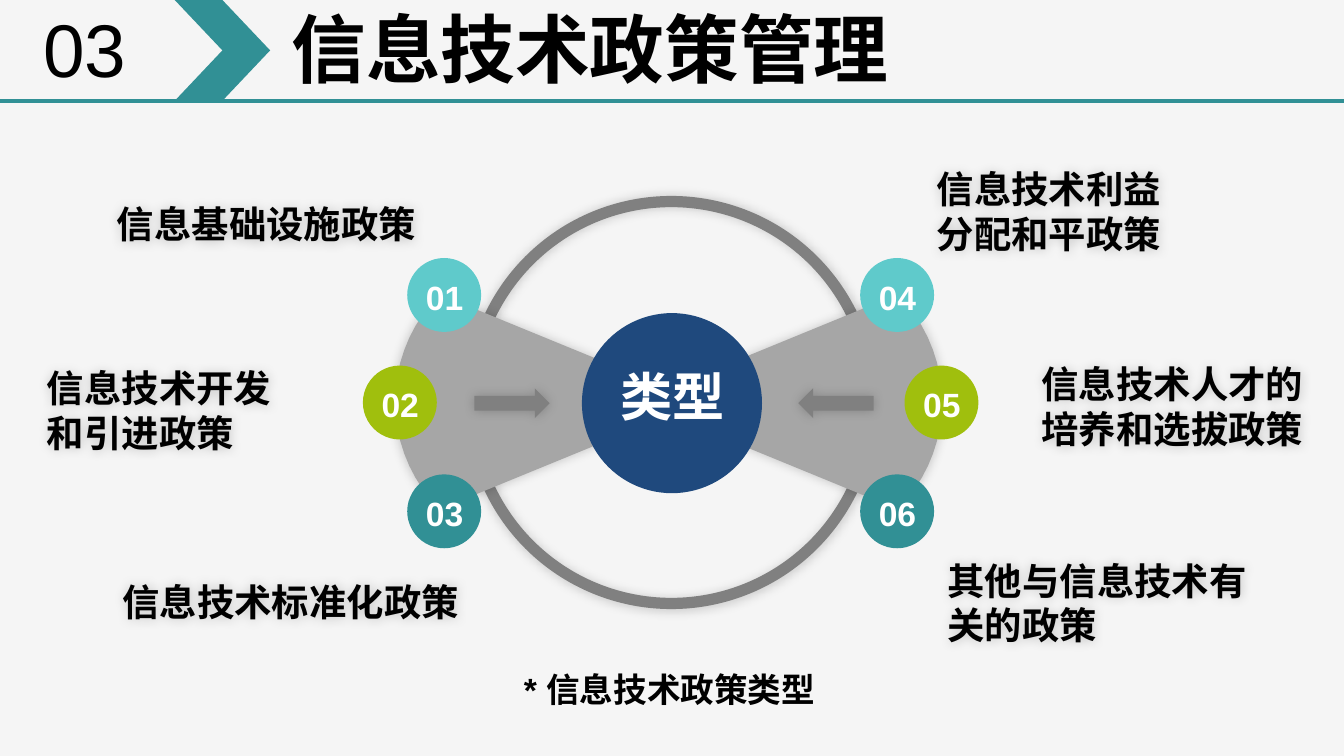
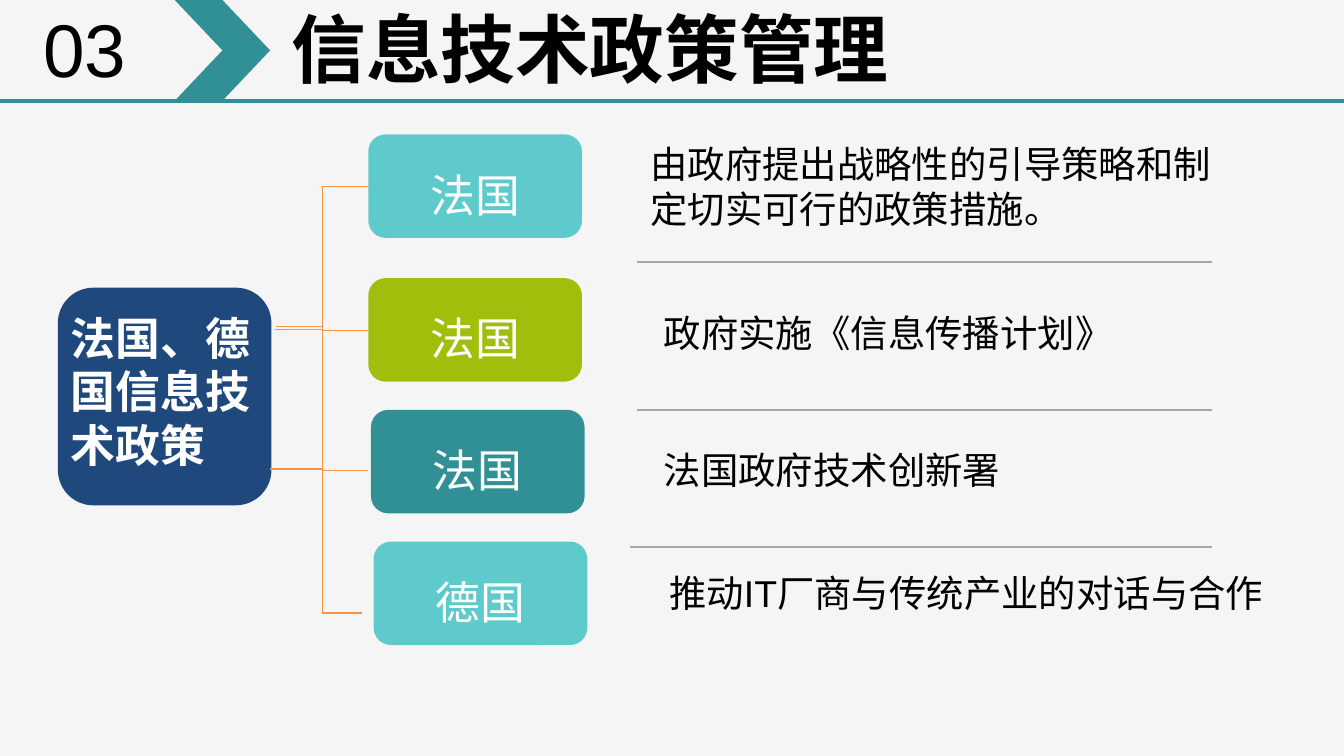
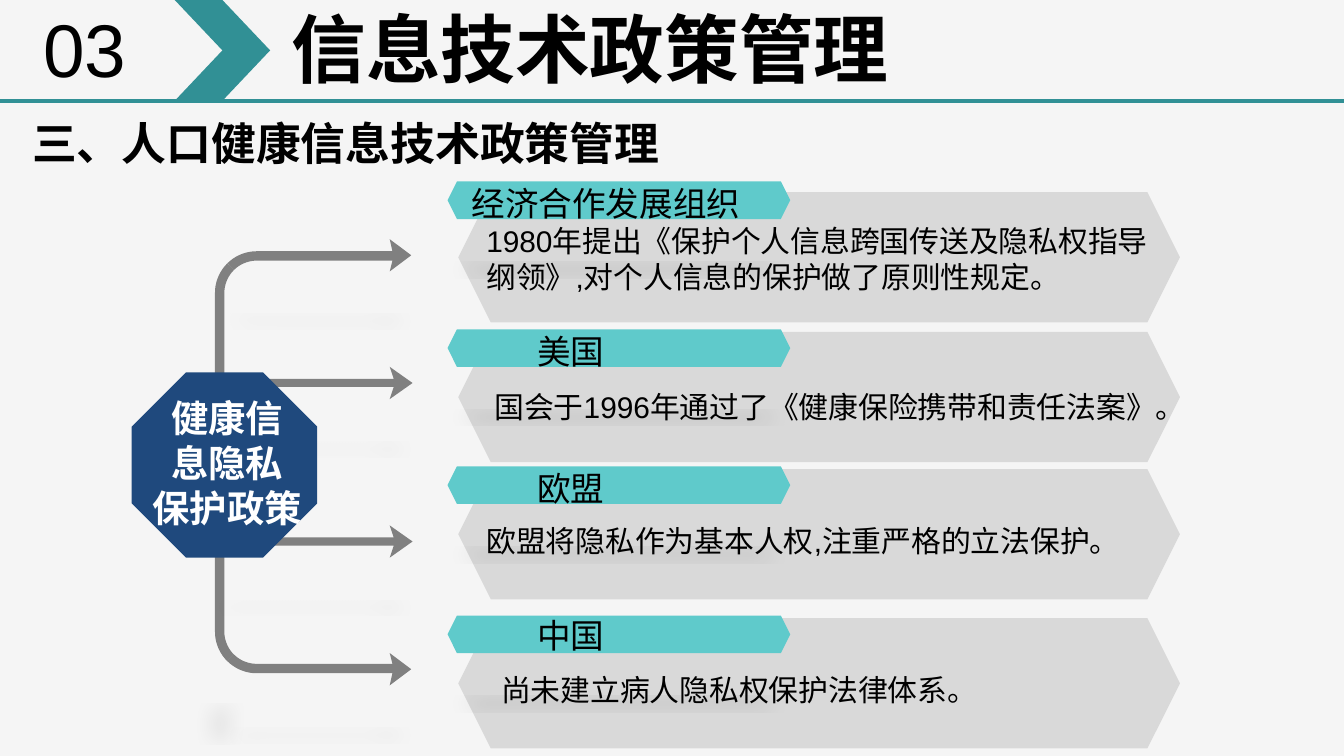
"""Build three slides on information technology policy management."""
from math import cos, radians, sin

from lxml.etree import SubElement
from pptx import Presentation
from pptx.dml.color import RGBColor
from pptx.enum.shapes import MSO_CONNECTOR as Link, MSO_SHAPE as Kind
from pptx.enum.text import MSO_ANCHOR as Anchor, MSO_AUTO_SIZE as Auto, PP_ALIGN as Align
from pptx.oxml.ns import qn
from pptx.util import Inches, Pt

BACKGROUND = RGBColor(0xF5, 0xF5, 0xF5)
BLACK = RGBColor(0x00, 0x00, 0x00)
WHITE = RGBColor(0xFF, 0xFF, 0xFF)
TEAL = RGBColor(0x31, 0x90, 0x95)
AQUA = RGBColor(0x5F, 0xCA, 0xCB)
GREEN = RGBColor(0xA0, 0xBF, 0x0D)
NAVY = RGBColor(0x1F, 0x49, 0x7D)
ORANGE = RGBColor(0xF6, 0x92, 0x40)
DARK_GREY = RGBColor(0x80, 0x80, 0x80)
MID_GREY = RGBColor(0xA6, 0xA6, 0xA6)
PALE_GREY = RGBColor(0xD9, 0xD9, 0xD9)

GLOW = (20, {"blurRad": Pt(6), "dist": 0, "dir": 315 * 60000})
FLOOR = (15, {"blurRad": Pt(12), "dist": Pt(25), "dir": 90 * 60000, "sx": 90000, "sy": -19000})


def place(slide, kind, box, text="", fill=None, size=18, color=BLACK, bold=False,
          align=Align.LEFT, inset=(0.1, 0.05), wrap=True):
    area = [Inches(value) for value in box]
    if kind is None:
        item = slide.shapes.add_textbox(*area)
    else:
        item = slide.shapes.add_shape(kind, *area)
        item.shadow.inherit = False
        item.line.fill.background()
        if fill is None:
            item.fill.background()
        else:
            item.fill.solid()
            item.fill.fore_color.rgb = fill
    if text:
        frame = item.text_frame
        frame.text = text
        frame.word_wrap = wrap
        frame.margin_left = frame.margin_right = Inches(inset[0])
        frame.margin_top = frame.margin_bottom = Inches(inset[1])
        if kind is None:
            frame.auto_size = Auto.SHAPE_TO_FIT_TEXT
        else:
            frame.vertical_anchor = Anchor.MIDDLE
        for paragraph in frame.paragraphs:
            paragraph.alignment = align
            for run in paragraph.runs:
                run.font.name = "Arial"
                run.font.size = Pt(size)
                run.font.bold = bold
                run.font.color.rgb = color
    return item


def trace(slide, points, fill):
    corners = [(Inches(x), Inches(y)) for x, y in points]
    builder = slide.shapes.build_freeform(*corners[0])
    builder.add_line_segments(corners[1:], close=True)
    item = builder.convert_to_shape()
    item.shadow.inherit = False
    item.fill.solid()
    item.fill.fore_color.rgb = fill
    item.line.fill.background()
    return item


deck = Presentation()
deck.slide_width = Inches(10)
deck.slide_height = deck.slide_width * 9 // 16
shaded = []
links = []

for number in range(3):
    slide = deck.slides.add_slide(deck.slide_layouts[6])
    slide.background.fill.solid()
    slide.background.fill.fore_color.rgb = BACKGROUND
    links.append((slide, Link.STRAIGHT, (0, 0.75, 10.01, 0.75), TEAL, 2.25))
    place(slide, None, (2.09, -0.02, 5.63, 0.76), "信息技术政策管理", size=40, bold=True,
          inset=(0.08, 0.04))
    place(slide, Kind.CHEVRON, (1.3, 0, 0.71, 0.75), fill=TEAL)
    place(slide, None, (0.24, -0.02, 0.79, 0.76), "03", size=40, inset=(0.08, 0.04), wrap=False)
types, countries, privacy = deck.slides

ring = place(types, Kind.OVAL, (3.5, 1.5, 2.99, 2.99))
ring.line.color.rgb = DARK_GREY
ring.line.width = Pt(6)
shaded.append((ring, GLOW))

wedge = [(4.73, 2.99)] + [(5.88 + 1.13 * cos(radians(a)), 2.99 + 1.13 * sin(radians(a)))
                          for a in range(-45, 46, 5)]
for points in (wedge, [(9.95 - x, y) for x, y in wedge]):
    shaded.append((trace(types, points, MID_GREY), GLOW))

badges = [(3.03, 1.92, AQUA), (2.7, 2.72, GREEN), (3.03, 3.53, TEAL),
          (6.4, 1.92, AQUA), (6.73, 2.72, GREEN), (6.4, 3.53, TEAL)]
for index, (left, top, color) in enumerate(badges, 1):
    place(types, Kind.OVAL, (left, top, 0.55, 0.55), fill=color)
    place(types, None, (left + 0.04, top + 0.09, 0.48, 0.4), f"{index:02d}", color=WHITE,
          bold=True, wrap=False)

place(types, Kind.OVAL, (4.33, 2.33, 1.34, 1.34), fill=NAVY)
place(types, None, (4.48, 2.66, 1.05, 0.57), "类型", size=28, color=WHITE, bold=True,
      align=Align.CENTER)
for kind, left in ((Kind.RIGHT_ARROW, 3.53), (Kind.LEFT_ARROW, 5.94)):
    shaded.append((place(types, kind, (left, 2.89, 0.56, 0.22), fill=DARK_GREY), GLOW))

policies = [
    ((0.87, 1.5, 2.8, 0.34), "信息基础设施政策"),
    ((0.35, 2.72, 2.07, 0.67), "信息技术开发\n和引进政策"),
    ((0.91, 4.31, 3.12, 0.34), "信息技术标准化政策"),
    ((6.97, 1.24, 2.01, 0.67), "信息技术利益\n分配和平政策"),
    ((7.75, 2.69, 2.53, 0.67), "信息技术人才的\n培养和选拔政策"),
    ((7.05, 4.15, 2.23, 0.67), "其他与信息技术有关的政策"),
]
for box, policy in policies:
    label = place(types, None, box, policy, size=20, bold=True, inset=(0, 0))
    shaded.append((label, GLOW))
place(types, None, (3.8, 4.93, 3.16, 0.4), "* 信息技术政策类型", bold=True)

nodes = [(2.74, 1, "法国", AQUA), (2.74, 2.07, "法国", GREEN),
         (2.76, 3.05, "法国", TEAL), (2.78, 4.03, "德国", AQUA)]
for left, top, country, color in nodes:
    node = place(countries, Kind.ROUNDED_RECTANGLE, (left, top, 1.59, 0.77), country, color,
                 24, WHITE, align=Align.CENTER, inset=(0.08, 0.04))
    node.text_frame.paragraphs[0].line_spacing = 1.3

place(countries, Kind.ROUNDED_RECTANGLE, (0.43, 2.14, 1.59, 1.62), fill=NAVY)
for ends in ((2.05, 2.45, 2.74, 2.46), (2.74, 1.39, 2.05, 2.45),
             (2.05, 2.43, 2.74, 3.5), (2.01, 3.49, 2.69, 4.56)):
    links.append((countries, Link.ELBOW, ends, ORANGE, 0.75))
for left, level in ((4.74, 1.95), (4.74, 3.05), (4.69, 4.07)):
    links.append((countries, Link.STRAIGHT, (left, level, 9.02, level), MID_GREY, 0.75))

for slide, kind, ends, color, width in links:
    link = slide.shapes.add_connector(kind, *[Inches(value) for value in ends])
    link.line.color.rgb = color
    link.line.width = Pt(width)
    SubElement(link.element.spPr, qn("a:effectLst"))
    if kind == Link.ELBOW:
        bend = (2.4 - ends[0]) / (ends[2] - ends[0])
        guides = link.element.spPr.find(qn("a:prstGeom")).find(qn("a:avLst"))
        SubElement(guides, qn("a:gd"), name="adj1", fmla=f"val {round(bend * 100000)}")

place(countries, None, (0.43, 2.26, 1.67, 1.31), "法国、德国信息技术政策", size=24, color=WHITE,
      bold=True)
measures = [
    ((4.74, 1, 4.54, 0.77), "由政府提出战略性的引导策略和制\n定切实可行的政策措施。", Align.LEFT, True),
    ((4.84, 2.26, 3.57, 0.44), "政府实施《信息传播计划》", Align.LEFT, False),
    ((4.84, 3.28, 2.73, 0.44), "法国政府技术创新署", Align.JUSTIFY, False),
    ((4.88, 4.19, 4.69, 0.44), "推动IT厂商与传统产业的对话与合作", Align.JUSTIFY, True),
]
for box, measure, align, wrap in measures:
    place(countries, None, box, measure, size=20, align=align, wrap=wrap)

inner, outer = [[(1.91 + radius * cos(radians(a)), 2.18 + radius * sin(radians(a)))
                 for a in range(180, 271, 5)] for radius in (0.24, 0.31)]
stem = [(1.67, 3.21)] + inner[:10] + outer[9::-1] + [(1.6, 3.21)]
turn = inner[9:] + [(2.92, 1.94), (2.9, 2.02), (3.06, 1.9), (2.9, 1.78), (2.92, 1.87)] + outer[:8:-1]
straight = [(1.6, 2.82), (2.93, 2.82), (2.9, 2.73), (3.07, 2.85), (2.9, 2.97), (2.93, 2.88),
            (1.6, 2.88)]
for part in (stem, turn, straight):
    for points in (part, [(x, 6.88 - y) for x, y in part]):
        shaded.append((trace(privacy, points, DARK_GREY), FLOOR))

place(privacy, Kind.OCTAGON, (0.98, 2.77, 1.38, 1.38), fill=NAVY)
place(privacy, None, (0.99, 2.89, 1.4, 1.11), "健康信\n息隐私\n保护政策", size=20, color=WHITE,
      bold=True, align=Align.CENTER)
place(privacy, None, (0.14, 0.81, 4.94, 0.5), "三、人口健康信息技术政策管理", size=24, bold=True,
      wrap=False)

regions = [
    (1.43, 1.35, "经济合作发展组织", (3.41, 1.31, 2.22, 0.4), (3.52, 1.61, 5.26, 0.64),
     "1980年提出《保护个人信息跨国传送及隐私权指导纲领》,对个人信息的保护做了原则性规定。", True),
    (2.47, 2.45, "美国", (3.9, 2.41, 0.71, 0.4), (3.58, 2.84, 5.89, 0.37),
     "国会于1996年通过了《健康保险携带和责任法案》。", True),
    (3.49, 3.47, "欧盟", (3.9, 3.43, 0.71, 0.4), (3.52, 3.84, 4.97, 0.37),
     "欧盟将隐私作为基本人权,注重严格的立法保护。", False),
    (4.6, 4.58, "中国", (3.9, 4.53, 0.71, 0.4), (3.63, 4.95, 3.79, 0.37),
     "尚未建立病人隐私权保护法律体系。", False),
]
for panel_top, tag_top, region, region_box, rule_box, rule, wrap in regions:
    panel = place(privacy, Kind.HEXAGON, (3.41, panel_top, 5.37, 0.97), fill=PALE_GREY)
    tag = place(privacy, Kind.HEXAGON, (3.33, tag_top, 2.55, 0.28), fill=AQUA)
    shaded.append((tag, FLOOR))
    if region != "中国":
        shaded.append((panel, FLOOR))
    place(privacy, None, region_box, region, wrap=False)
    place(privacy, None, rule_box, rule, size=16, wrap=wrap)

for item, (opacity, settings) in shaded:
    item.shadow.inherit = False
    effects = item.element.spPr.find(qn("a:effectLst"))
    shadow = SubElement(effects, qn("a:outerShdw"), rotWithShape="0",
                        **{key: str(int(value)) for key, value in settings.items()})
    tint = SubElement(shadow, qn("a:srgbClr"), val=str(BLACK))
    SubElement(tint, qn("a:alpha"), val=str(opacity * 1000))

deck.save("out.pptx")
